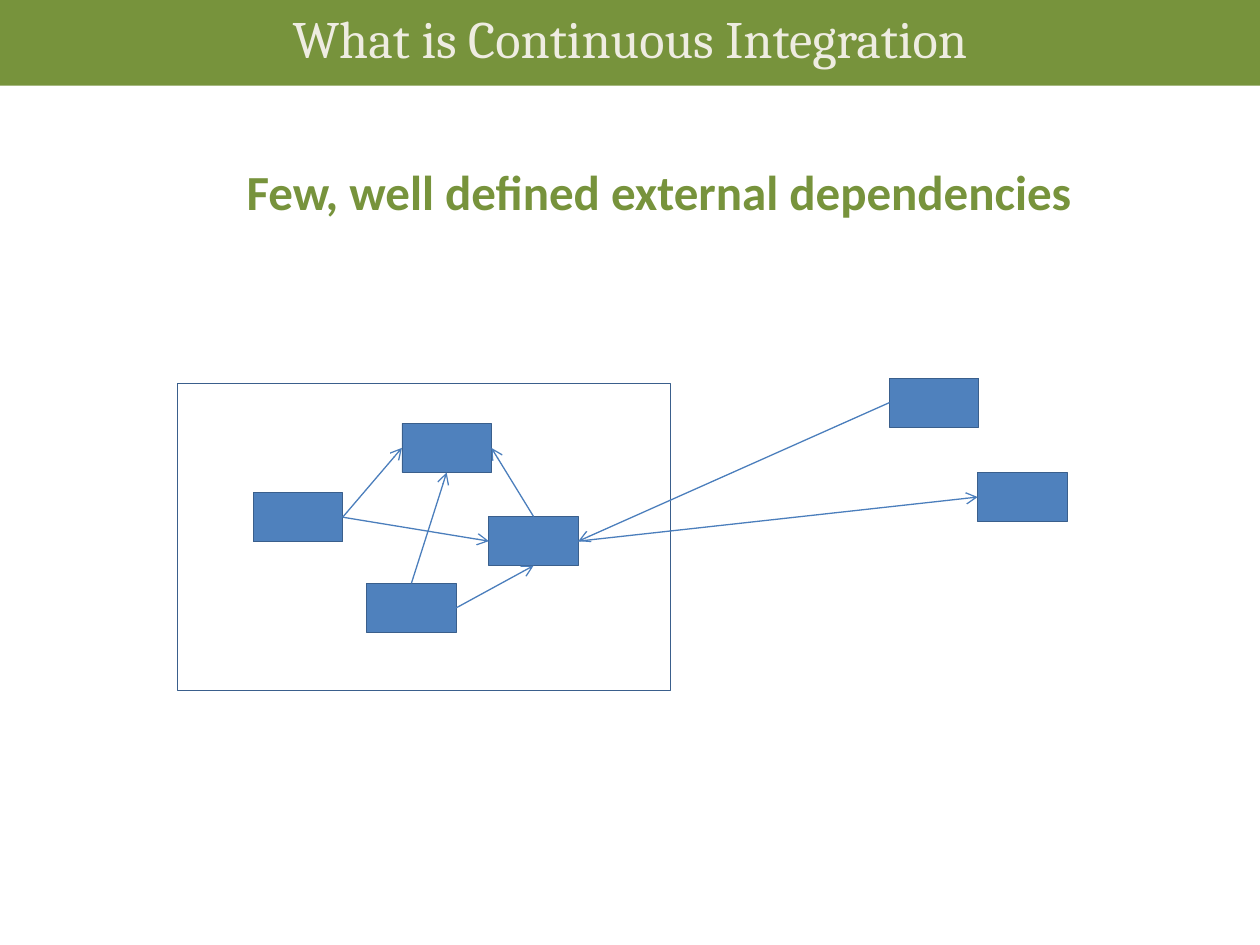
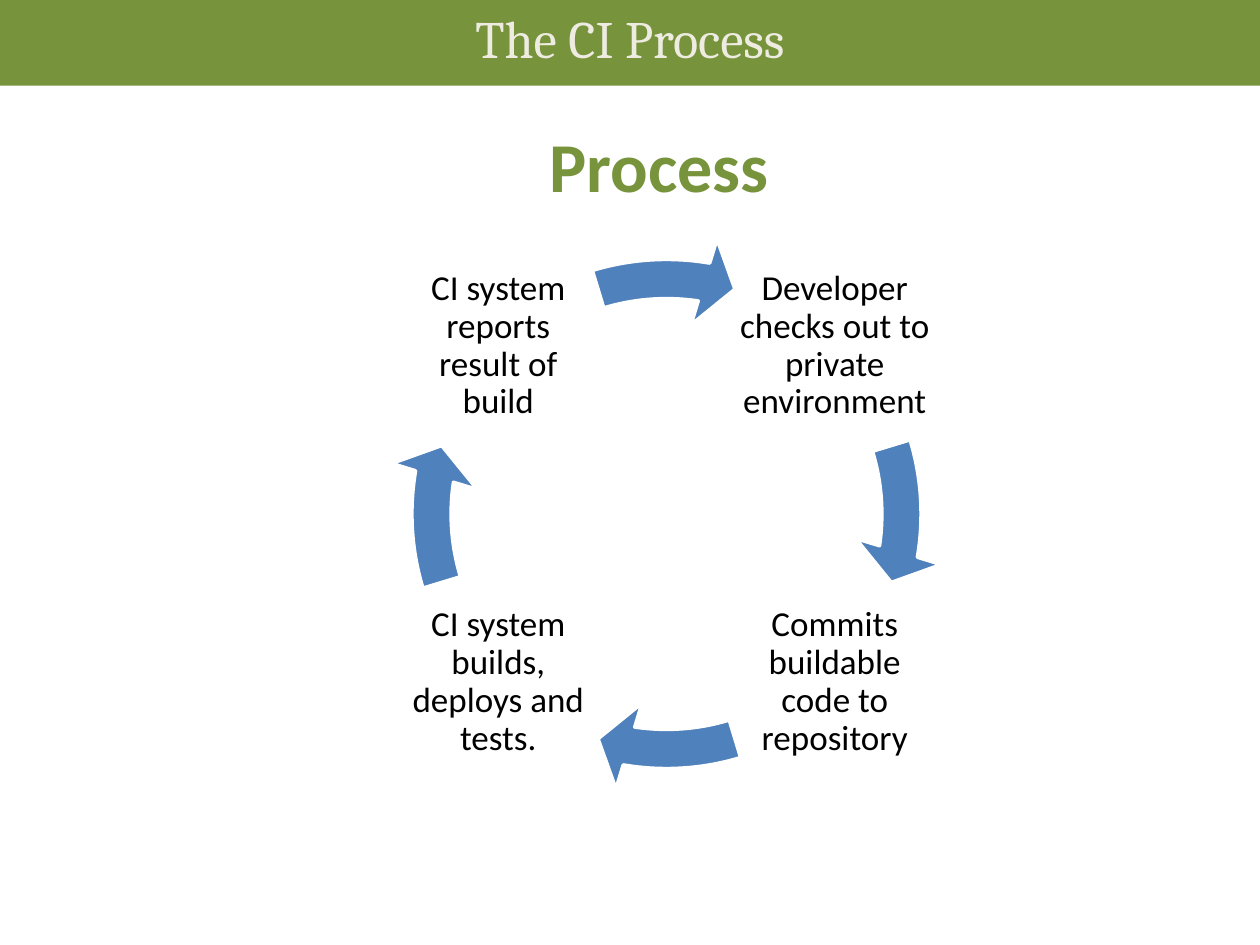
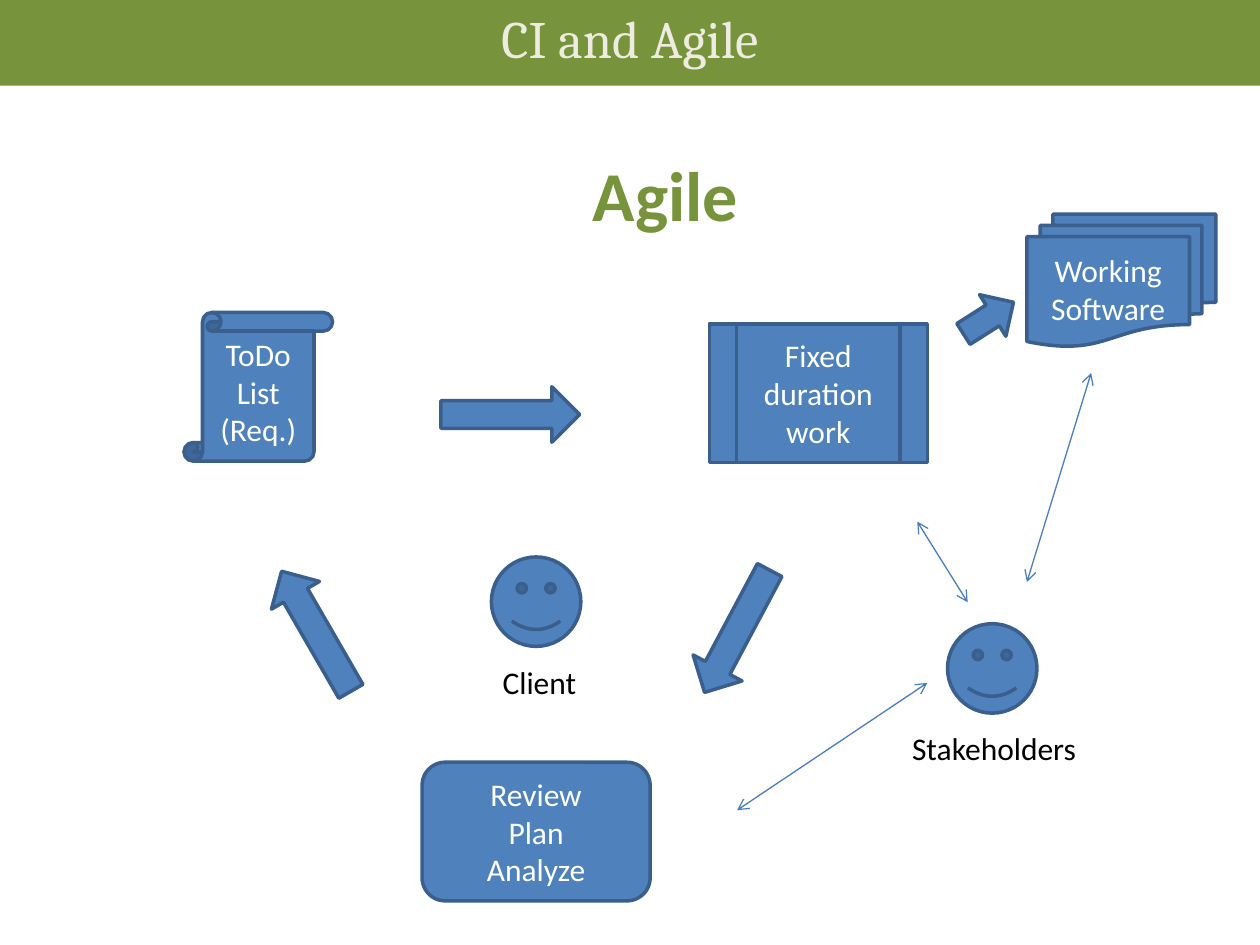
import lxml.etree
import pptx
import pptx.dml.color
import pptx.enum.shapes
import pptx.enum.text
import pptx.oxml.ns
import pptx.util

Inches = pptx.util.Inches
Pt = pptx.util.Pt
SHAPE = pptx.enum.shapes.MSO_SHAPE
ANCHOR = pptx.enum.text.MSO_ANCHOR
AUTO_SIZE = pptx.enum.text.MSO_AUTO_SIZE
CENTER = pptx.enum.text.PP_ALIGN.CENTER

COLORS = {
    "green": "77933C",
    "cream": "EEECE1",
    "blue": "4F81BD",
    "outline": "3A5F8C",
    "arrow": "4B7EBC",
    "white": "FFFFFF",
    "black": "000000",
}
TOP, LEFT, BOTTOM, RIGHT = range(4)
TITLE_ONLY_LAYOUT = 5


def color(name):
    return pptx.dml.color.RGBColor.from_string(COLORS[name])


def set_text(shape, text, size, color_name, font="Calibri", bold=False, align=CENTER):
    shape.text_frame.text = text
    for paragraph in shape.text_frame.paragraphs:
        paragraph.alignment = align
        paragraph.font.name = font
        paragraph.font.size = Pt(size)
        paragraph.font.bold = bold
        paragraph.font.color.rgb = color(color_name)


def add_titled_slide(presentation, title, heading, heading_box, heading_size):
    """Add a slide with the green title band and a green heading below it."""
    slide = presentation.slides.add_slide(presentation.slide_layouts[TITLE_ONLY_LAYOUT])
    band = slide.shapes.title
    band.left, band.top = Inches(0), Inches(0)
    band.width, band.height = presentation.slide_width, Inches(0.68)
    band.fill.solid()
    band.fill.fore_color.rgb = color("green")
    band.text_frame.auto_size = AUTO_SIZE.NONE
    band.text_frame.vertical_anchor = ANCHOR.TOP
    set_text(band, title, 30, "cream", font="Cambria")
    add_text(slide, heading_box, heading, heading_size, "green", bold=True)
    return slide


def add_text(slide, box, text, size, color_name="black", bold=False):
    text_box = slide.shapes.add_textbox(*map(Inches, box))
    text_box.text_frame.word_wrap = True
    set_text(text_box, text, size, color_name, bold=bold)
    return text_box


def add_label(slide, box, text):
    """Add a left-aligned caption that grows with its text."""
    label = add_text(slide, box, text, 18)
    label.text_frame.word_wrap = False
    label.text_frame.auto_size = AUTO_SIZE.SHAPE_TO_FIT_TEXT
    label.text_frame.paragraphs[0].alignment = None


def add_shape(slide, kind, box, text="", fill="blue", line="outline", line_width=2, rotation=0):
    shape = slide.shapes.add_shape(kind, *map(Inches, box))
    shape.shadow.inherit = False
    shape.rotation = rotation
    if fill:
        shape.fill.solid()
        shape.fill.fore_color.rgb = color(fill)
    else:
        shape.fill.background()
    shape.line.color.rgb = color(line)
    shape.line.width = Pt(line_width)
    if text:
        set_text(shape, text, 18, "white")
    return shape


def add_arrow(slide, start=(0, 0), end=(0, 0), both_ends=False):
    connector = slide.shapes.add_connector(
        pptx.enum.shapes.MSO_CONNECTOR.STRAIGHT, *map(Inches, start + end))
    connector.line.color.rgb = color("arrow")
    connector.line.width = Pt(0.75)
    qn = pptx.oxml.ns.qn
    properties = connector._element.spPr
    line = properties.find(qn("a:ln"))
    for tag in ("a:headEnd", "a:tailEnd") if both_ends else ("a:tailEnd",):
        lxml.etree.SubElement(line, qn(tag), type="arrow")
    lxml.etree.SubElement(properties, qn("a:effectLst"))
    return connector


def join(slide, source, source_side, target, target_side):
    arrow = add_arrow(slide)
    arrow.begin_connect(source, source_side)
    arrow.end_connect(target, target_side)


def build_dependencies(presentation):
    slide = add_titled_slide(
        presentation, "What is Continuous Integration",
        "Few, well defined external dependencies", (1.41, 1.23, 7.64, 1.18), 28)
    positions = {
        "left": (2.01, 3.91), "hub": (3.88, 4.1), "lower": (2.91, 4.63),
        "upper": (3.19, 3.36), "consumer": (7.76, 3.75), "supplier": (7.06, 3),
    }
    add_shape(slide, SHAPE.RECTANGLE, (1.41, 3.04, 3.91, 2.44), fill=None, line_width=0.5)
    modules_by_name = {
        name: add_shape(slide, SHAPE.RECTANGLE, position + (0.71, 0.39), line_width=0.5)
        for name, position in positions.items()
    }
    for source, source_side, target, target_side in (
        ("left", RIGHT, "upper", LEFT),
        ("left", RIGHT, "hub", LEFT),
        ("hub", TOP, "upper", RIGHT),
        ("lower", TOP, "upper", BOTTOM),
        ("lower", RIGHT, "hub", BOTTOM),
        ("hub", RIGHT, "consumer", LEFT),
        ("supplier", LEFT, "hub", RIGHT),
    ):
        join(slide, modules_by_name[source], source_side,
             modules_by_name[target], target_side)


def build_process(presentation):
    slide = add_titled_slide(
        presentation, "The CI Process", "Process", (1.41, 0.92, 7.64, 0.79), 40)
    left, right, top, bottom = 3.17, 5.84, 1.96, 4.63
    steps = (
        (right, top, "Developer checks out to private environment"),
        (right, bottom, "Commits buildable code to repository"),
        (left, bottom, "CI system builds, deploys and tests."),
        (left, top, "CI system reports result of build"),
    )
    # Angle adjustments count 216 units to a full turn.
    full_turn = 216
    for index, (x, y, text) in enumerate(steps):
        step = add_text(slide, (x, y, 1.57, 1.57), text, 20)
        frame = step.text_frame
        frame.vertical_anchor = ANCHOR.MIDDLE
        frame.margin_left = frame.margin_right = Inches(0.03)
        frame.margin_top = frame.margin_bottom = Inches(0.03)
        frame.paragraphs[0].line_spacing = 0.9
        arrow = add_shape(slide, SHAPE.CIRCULAR_ARROW, (3.07, 1.86, 4.44, 4.44), line="white")
        turn = index * full_turn / 4
        angles = (0.07, 4.65, 5.51 + turn, (205.84 + turn) % full_turn, 0.08)
        for position, value in enumerate(angles):
            arrow.adjustments[position] = value


def build_agile(presentation):
    slide = add_titled_slide(
        presentation, "CI and Agile", "Agile", (1.46, 1.15, 7.64, 0.87), 40)
    for kind, box, text in (
        (SHAPE.VERTICAL_SCROLL, (1.46, 2.48, 1.18, 1.18), "ToDo List\n(Req.)"),
        (SHAPE.FLOWCHART_PREDEFINED_PROCESS, (5.63, 2.57, 1.73, 1.1), "Fixed duration work"),
        (SHAPE.FLOWCHART_ALTERNATE_PROCESS, (3.35, 6.05, 1.81, 1.1), "Review\nPlan\nAnalyze"),
        (SHAPE.FLOWCHART_MULTIDOCUMENT, (8.15, 1.7, 1.5, 1.05), "Working Software"),
    ):
        add_shape(slide, kind, box, text)
    for box, rotation in (
        ((3.5, 3.07, 1.1, 0.44), 0),
        ((5.3, 4.79, 1.1, 0.44), 118),
        ((1.96, 4.79, 1.1, 0.44), 240),
        ((7.61, 2.33, 0.47, 0.39), 327.6),
    ):
        add_shape(slide, SHAPE.RIGHT_ARROW, box, rotation=rotation)
    for face_position, label_box, text in (
        ((3.9, 4.42), (3.89, 5.21, 0.79, 0.4), "Client"),
        ((7.52, 4.95), (7.14, 5.74, 1.52, 0.4), "Stakeholders"),
    ):
        add_shape(slide, SHAPE.SMILEY_FACE, face_position + (0.71, 0.71))
        add_label(slide, label_box, text)
    for start, end in (
        ((7.28, 4.14), (7.68, 4.78)),
        ((5.85, 6.43), (7.36, 5.42)),
        ((8.15, 4.62), (8.66, 2.96)),
    ):
        add_arrow(slide, start, end, both_ends=True)


def main():
    presentation = pptx.Presentation()
    presentation.slide_width = Inches(10)
    presentation.slide_height = Inches(7.5)
    build_dependencies(presentation)
    build_process(presentation)
    build_agile(presentation)
    presentation.save("out.pptx")


if __name__ == "__main__":
    main()
